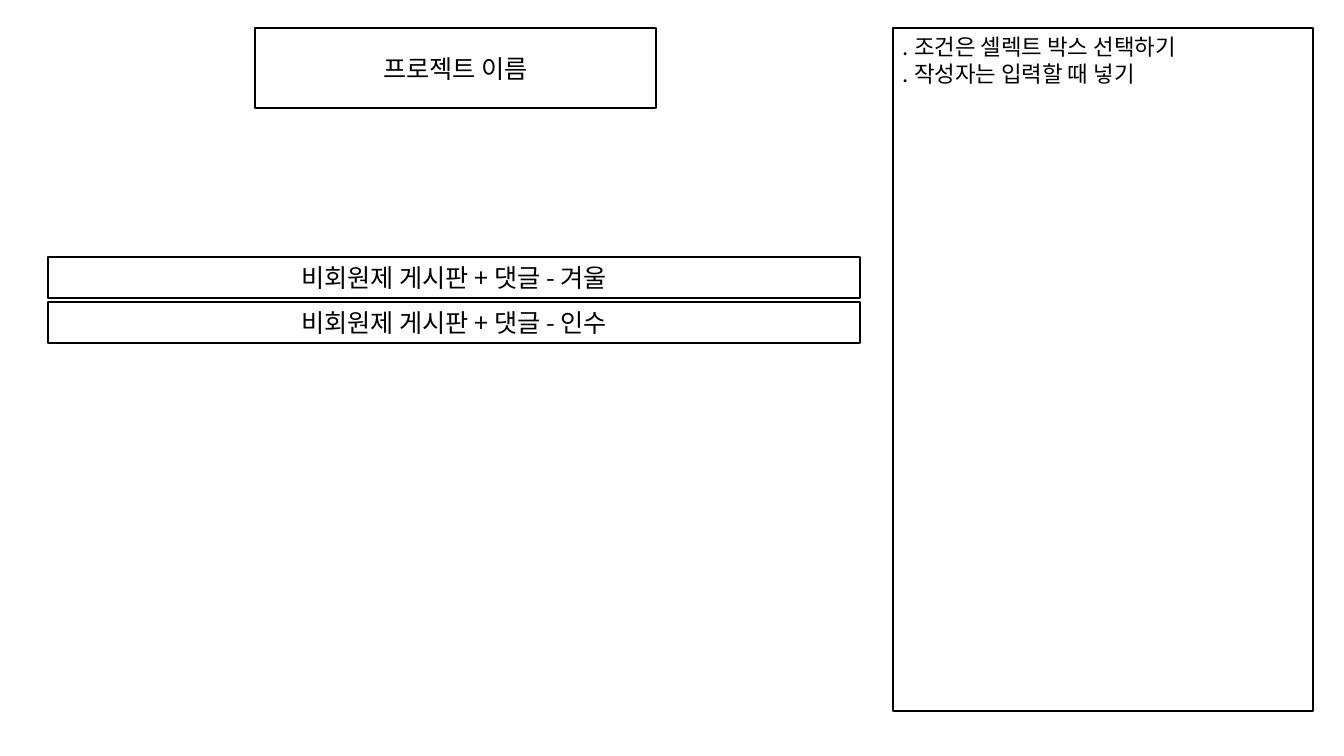
from lxml.etree import SubElement
from pptx import Presentation
from pptx.dml.color import RGBColor
from pptx.enum.shapes import MSO_SHAPE
from pptx.enum.text import MSO_ANCHOR, MSO_AUTO_SIZE, PP_ALIGN
from pptx.oxml.ns import qn
from pptx.util import Emu, Pt

EMU_PER_PIXEL = 914400 / 100.8
FONT = "Noto Sans CJK KR"
BLACK = "000000"


def px(pixels):
    """Turn whole pixels into EMU."""
    return Emu(round(pixels * EMU_PER_PIXEL))


def color(value):
    """Turn a hex string into a colour."""
    return RGBColor.from_string(value)


def place(box, left, top, width, height):
    """Position a box given in pixels."""
    box.left, box.top, box.width, box.height = map(px, (left, top, width, height))


def outline(box):
    """Give a box a thin black border and no fill."""
    box.fill.background()
    box.line.color.rgb = color(BLACK)
    box.line.width = Pt(1)


def write(box, lines, size, align=PP_ALIGN.CENTER, anchor=MSO_ANCHOR.MIDDLE):
    """Write one paragraph per line into a box."""
    frame = box.text_frame
    frame.word_wrap = True
    frame.auto_size = MSO_AUTO_SIZE.NONE
    frame.vertical_anchor = anchor
    for index, line in enumerate(lines):
        paragraph = frame.add_paragraph() if index else frame.paragraphs[0]
        paragraph.alignment = align
        run = paragraph.add_run()
        run.text = line
        run.font.size = Pt(size)
        run.font.name = FONT
        run.font.color.rgb = color(BLACK)
        SubElement(run.font._element, qn("a:ea")).set("typeface", FONT)


def add_box(slide, left, top, width, height):
    """Add an outlined rectangle."""
    box = slide.shapes.add_shape(MSO_SHAPE.RECTANGLE, *map(px, (left, top, width, height)))
    box.shadow.inherit = False
    outline(box)
    return box


def add_project_name(slide, name):
    """Format the title placeholder as the project name box."""
    title = slide.shapes.title
    place(title, 255, 28, 401, 80)
    outline(title)
    write(title, [name], 18)


def add_boards(slide, authors):
    """Stack one board row per author."""
    for row, author in enumerate(authors):
        board = add_box(slide, 48, 257 + 45 * row, 812, 41)
        write(board, [f"비회원제 게시판 + 댓글 - {author}"], 18)


def add_notes_panel(slide, notes):
    """Add the tall panel of requirements."""
    panel = add_box(slide, 893, 28, 420, 683)
    write(panel, notes, 16, PP_ALIGN.LEFT, MSO_ANCHOR.TOP)


def main():
    """Build the slide and save it."""
    deck = Presentation()
    deck.slide_width, deck.slide_height = px(1344), px(756)
    slide = deck.slides.add_slide(deck.slide_layouts[5])
    add_project_name(slide, "프로젝트 이름")
    add_boards(slide, ["겨울", "인수"])
    add_notes_panel(slide, [". 조건은 셀렉트 박스 선택하기", ". 작성자는 입력할 때 넣기"])
    deck.save("out.pptx")


main()
